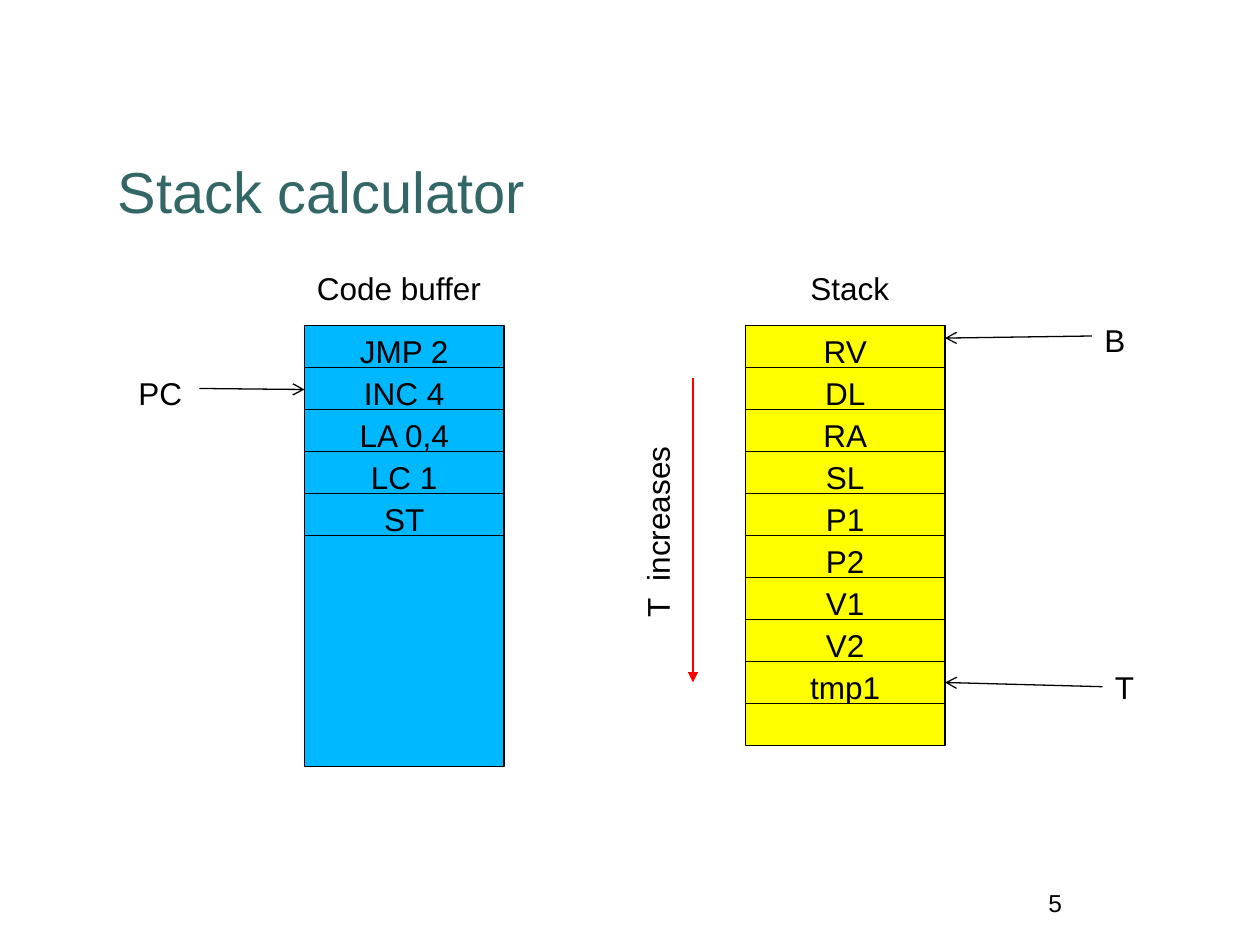
from dataclasses import dataclass

from lxml.etree import SubElement
from pptx import Presentation
from pptx.dml.color import RGBColor
from pptx.enum.shapes import MSO_CONNECTOR as Connector, MSO_SHAPE as Shape
from pptx.enum.text import MSO_ANCHOR as Anchor, MSO_AUTO_SIZE as AutoSize, PP_ALIGN as Align
from pptx.oxml.ns import qn
from pptx.util import Inches, Pt

BLACK = RGBColor(0, 0, 0)
TEAL = RGBColor(0x33, 0x66, 0x66)
BLUE = RGBColor(0x00, 0xB8, 0xFF)
YELLOW = RGBColor(0xFF, 0xFF, 0x00)
RED = RGBColor(0xFF, 0, 0)

SLIDE_WIDTH, SLIDE_HEIGHT = Inches(10), Inches(7.5)
GRID_COLUMNS = 120
UNIT = SLIDE_WIDTH / GRID_COLUMNS
CELL_WIDTH, CELL_HEIGHT = 19, 4
MEMORY_TOP = 31
LABEL_HEIGHT = 4.8


@dataclass
class Memory:
    column: float
    color: RGBColor
    cells: tuple[str, ...]
    free_height: float


@dataclass
class Label:
    text: str
    column: float
    row: float
    width: float
    height: float = LABEL_HEIGHT
    size: float = 18
    align: Align = Align.LEFT
    rotation: float = 0
    wrap: bool = False
    auto_size: AutoSize = AutoSize.SHAPE_TO_FIT_TEXT


@dataclass
class Arrow:
    start: tuple[float, float]
    end: tuple[float, float]
    color: RGBColor = BLACK
    width: float = 0.75
    head: str = "arrow"


MEMORIES = (
    Memory(29, BLUE, ("JMP 2", "INC 4", "LA 0,4", "LC 1", "ST"), 22),
    Memory(71, YELLOW, ("RV", "DL", "RA", "SL", "P1", "P2", "V1", "V2", "tmp1"), CELL_HEIGHT),
)
LABELS = (
    Label("Code buffer", 29, 25, 18.2),
    Label("Stack", 76, 25, 10),
    Label("PC", 12, 35, 6.6),
    Label("B", 104, 30, 4.4),
    Label("T", 105, 63, 4.2),
    Label("T  increases", 52.8, 47.8, 19.6, rotation=270, wrap=True),
    Label("5", 90, 84, 21, 6, size=14, align=Align.CENTER, wrap=True, auto_size=AutoSize.NONE),
)
ARROWS = (
    Arrow((19, 37), (29, 37.1)),
    Arrow((104, 32), (90, 32.2)),
    Arrow((105, 65.4), (90, 65)),
    Arrow((66, 36), (66, 65), RED, 1.25, "triangle"),
)


def grid(*values: float) -> list[int]:
    return [round(value * UNIT) for value in values]


def set_attributes(target, values: dict) -> None:
    for name, value in values.items():
        setattr(target, name, value)


def write(shape, text: str, size: float, color: RGBColor, align: Align, frame_format: dict) -> None:
    frame = shape.text_frame
    frame.text = text
    set_attributes(frame, frame_format)
    paragraph = frame.paragraphs[0]
    paragraph.alignment = align
    font = paragraph.runs[0].font
    set_attributes(font, {"name": "Arial", "size": Pt(size)})
    font.color.rgb = color


def draw_title(slide, text: str) -> None:
    title = slide.shapes.title
    left, top, width, height = grid(10, 7, 101, 15)
    set_attributes(title, {"left": left, "top": top, "width": width, "height": height})
    write(title, text, 33, TEAL, Align.LEFT,
          {"vertical_anchor": Anchor.BOTTOM, "word_wrap": True, "auto_size": AutoSize.NONE})


def draw_cell(slide, memory: Memory, row: float, height: float, text: str = "") -> None:
    cell = slide.shapes.add_shape(
        Shape.RECTANGLE, *grid(memory.column, row, CELL_WIDTH, height))
    cell.shadow.inherit = False
    cell.fill.solid()
    cell.fill.fore_color.rgb = memory.color
    cell.line.color.rgb = BLACK
    cell.line.width = Pt(0.75)
    if text:
        write(cell, text, 18, BLACK, Align.CENTER,
              {"vertical_anchor": Anchor.TOP, "word_wrap": True})


def draw_memory(slide, memory: Memory) -> None:
    for index, text in enumerate(memory.cells):
        draw_cell(slide, memory, MEMORY_TOP + index * CELL_HEIGHT, CELL_HEIGHT, text)
    free_row = MEMORY_TOP + len(memory.cells) * CELL_HEIGHT
    draw_cell(slide, memory, free_row, memory.free_height)


def draw_label(slide, label: Label) -> None:
    box = slide.shapes.add_textbox(*grid(label.column, label.row, label.width, label.height))
    box.rotation = label.rotation
    write(box, label.text, label.size, BLACK, label.align,
          {"word_wrap": label.wrap, "auto_size": label.auto_size})


def draw_arrow(slide, arrow: Arrow) -> None:
    connector = slide.shapes.add_connector(
        Connector.STRAIGHT, *grid(*arrow.start, *arrow.end))
    connector.line.color.rgb = arrow.color
    connector.line.width = Pt(arrow.width)
    properties = connector._element.spPr
    SubElement(properties.find(qn("a:ln")), qn("a:tailEnd"), type=arrow.head)
    SubElement(properties, qn("a:effectLst"))


def main() -> None:
    presentation = Presentation()
    set_attributes(presentation, {"slide_width": SLIDE_WIDTH, "slide_height": SLIDE_HEIGHT})
    slide = presentation.slides.add_slide(presentation.slide_layouts.get_by_name("Title Only"))
    draw_title(slide, "Stack calculator")
    for draw, items in ((draw_memory, MEMORIES), (draw_label, LABELS), (draw_arrow, ARROWS)):
        for item in items:
            draw(slide, item)
    presentation.save("out.pptx")


if __name__ == "__main__":
    main()
